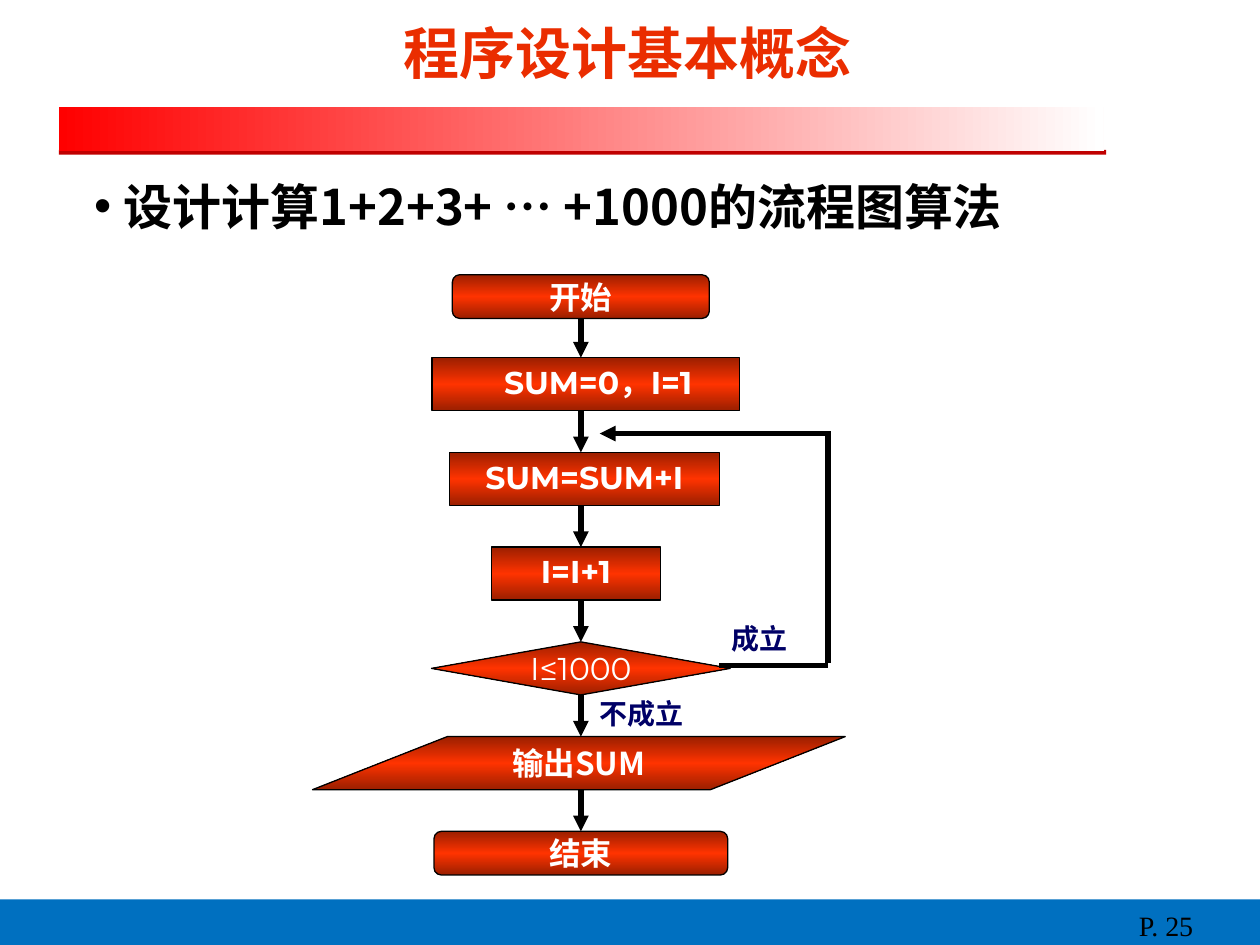
from copy import deepcopy

from lxml.etree import SubElement
from pptx import Presentation
from pptx.dml.color import RGBColor
from pptx.enum.shapes import MSO_CONNECTOR, MSO_SHAPE as Preset
from pptx.enum.text import MSO_ANCHOR as Anchor, PP_ALIGN as Align
from pptx.oxml.ns import qn
from pptx.util import Cm, Pt

CJK = "Noto Sans CJK SC"
LATIN = "Montserrat"
BOX_COLORS = ["9B1F00", "FF3300", "9B1F00"]


def rgb(value):
    return RGBColor.from_string(value)


def write(shape, text, size, font, color, bold=True, align=Align.LEFT,
          anchor=Anchor.MIDDLE, before=0, spacing=None, east_asian=CJK):
    frame = shape.text_frame
    frame.word_wrap = True
    frame.vertical_anchor = anchor
    paragraph = frame.paragraphs[0]
    paragraph.alignment = align
    paragraph.space_before = Pt(before)
    if spacing:
        paragraph.line_spacing = spacing
    run = paragraph.add_run()
    run.text = text
    run.font.size = Pt(size)
    run.font.name = font
    run.font.bold = bold
    run.font.color.rgb = rgb(color)
    SubElement(run.font._element, qn("a:ea")).set("typeface", east_asian)
    return paragraph


def indent(paragraph, left, first=0, bullet=None):
    properties = paragraph._p.get_or_add_pPr()
    properties.set("marL", str(Cm(left)))
    properties.set("indent", str(Cm(first)))
    if bullet:
        SubElement(properties, qn("a:buFont")).set("typeface", "Arial")
        SubElement(properties, qn("a:buChar")).set("char", bullet)


def add_text(slide, left, top, width, height, *content, **style):
    holder = slide.shapes.add_textbox(Cm(left), Cm(top), Cm(width), Cm(height))
    return write(holder, *content, **style)


def add_block(slide, preset, left, top, width, height, colors, outlined=False):
    """Add a preset shape; several colours make an evenly spaced gradient."""
    block = slide.shapes.add_shape(
        preset, Cm(left), Cm(top), Cm(width), Cm(height))
    block.shadow.inherit = False
    if outlined:
        block.line.color.rgb = rgb("000000")
        block.line.width = Pt(0.75)
    else:
        block.line.fill.background()
    if len(colors) == 1:
        block.fill.solid()
        block.fill.fore_color.rgb = rgb(colors[0])
        return block
    block.fill.gradient()
    block.fill.gradient_angle = 90 if outlined else 0
    stop_list = next(block._element.spPr.iter(qn("a:gsLst")))
    for _ in colors[2:]:
        stop_list.append(deepcopy(stop_list[-1]))
    for i, (stop, color) in enumerate(zip(block.fill.gradient_stops, colors)):
        stop.color.rgb = rgb(color)
        stop.position = i / (len(colors) - 1)
    return block


def add_line(slide, x1, y1, x2, y2, arrow=True):
    line = slide.shapes.add_connector(
        MSO_CONNECTOR.STRAIGHT, Cm(x1), Cm(y1), Cm(x2), Cm(y2))
    line.line.color.rgb = rgb("000000")
    line.line.width = Pt(3)
    if arrow:
        SubElement(line.line._get_or_add_ln(), qn("a:tailEnd")).set(
            "type", "triangle")
    SubElement(line._element.spPr, qn("a:effectLst"))
    return line


def add_header(slide, left, top, width):
    add_block(slide, Preset.RECTANGLE, left, top + 2.64, width, 0.1, ["C00000"])
    add_block(slide, Preset.RECTANGLE, left, top + 1.78, width - 0.05, 0.88,
              ["FF0000", "FFFFFF"])
    add_text(slide, left + 2.31, top, 18.31, 1.35, "程序设计基本概念",
             32, "Arial", "EA2D00", align=Align.CENTER)


def add_footer(slide, left, top, width):
    add_block(slide, Preset.RECTANGLE, left, top, width, 0.99, ["0070C0"])
    add_text(slide, left + width - 2.69, top + 0.06, 2.59, 1.04, "P. 25",
             16, "Times New Roman", "000000", bold=False,
             anchor=Anchor.TOP, before=10)


def add_topic(slide, left, top, width, height):
    topic = add_text(slide, left, top, width, height,
                     "设计计算1+2+3+ … +1000的流程图算法", 28,
                     "Noto Sans CJK JP", "000000", before=7,
                     east_asian="Noto Sans CJK JP")
    indent(topic, 0.6, -0.6, "•")


def add_flowchart(slide, left, top):
    axis = left + 5.41
    first_row, pitch, height = 1.67, 1.91, 1.07
    # preset, text, font, bold, width, offset of the centre from the axis
    steps = [
        (Preset.ROUNDED_RECTANGLE, "开始", CJK, True, 5.18, 0),
        (Preset.RECTANGLE, "SUM=0，I=1", LATIN, True, 6.2, 0.1),
        (Preset.RECTANGLE, "SUM=SUM+I", LATIN, True, 5.44, 0.07),
        (Preset.RECTANGLE, "I=I+1", LATIN, True, 3.4, -0.1),
        (Preset.FLOWCHART_DECISION, "I≤1000", LATIN, False, 6.02, 0),
        (Preset.PARALLELOGRAM, "输出SUM", CJK, True, 10.74, -0.04),
        (Preset.ROUNDED_RECTANGLE, "结束", CJK, True, 5.92, 0),
    ]
    previous = None
    for row, (preset, text, font, bold, width, offset) in enumerate(steps):
        step_top = top + (first_row + (row - 1) * pitch if row else 0)
        step_height = 0.88 if preset == Preset.ROUNDED_RECTANGLE else height
        step = add_block(slide, preset, axis + offset - width / 2, step_top,
                         width, step_height, BOX_COLORS, outlined=True)
        if preset == Preset.PARALLELOGRAM:
            step.adjustments[0] = 2.54
        label = write(step, text, 18, font, "FFFFFF", bold=bold,
                      align=Align.CENTER, before=4.5,
                      spacing=0.9 if preset == Preset.RECTANGLE else None)
        if row == 1:
            indent(label, 0.5)
        if previous:
            last_step, last_bottom, last_offset = previous
            arrow = add_line(slide, axis, last_bottom, axis, step_top)
            if last_offset == 0:
                arrow.begin_connect(last_step, 2)
            if offset == 0:
                arrow.end_connect(step, 0)
        previous = step, step_top + step_height, offset

    loop_x, exit_y, return_y = left + 10.39, top + 7.87, top + 3.2
    add_line(slide, left + 8.2, exit_y, loop_x, exit_y, arrow=False)
    add_line(slide, loop_x, exit_y - 0.05, loop_x, return_y - 0.05, arrow=False)
    add_line(slide, loop_x, return_y, left + 5.79, return_y)

    branches = [("成立", 7.82, 6.86, 2.39, Align.CENTER),
                ("不成立", 5.54, 8.38, 2.64, Align.LEFT)]
    for text, x, y, width, align in branches:
        add_text(slide, left + x, top + y, width, 0.94, text, 16,
                 "Times New Roman", "000066", align=align,
                 anchor=Anchor.TOP, before=4)


def main():
    deck = Presentation()
    deck.slide_width, deck.slide_height = Cm(25.4), Cm(19.05)
    slide = deck.slides.add_slide(deck.slide_layouts[6])
    add_footer(slide, 0, 18.13, 25.4)
    add_header(slide, 1.19, 0.38, 21.11)
    add_topic(slide, 1.65, 2.97, 20.47, 2.36)
    add_flowchart(slide, 6.3, 5.54)
    deck.save("out.pptx")


if __name__ == "__main__":
    main()
